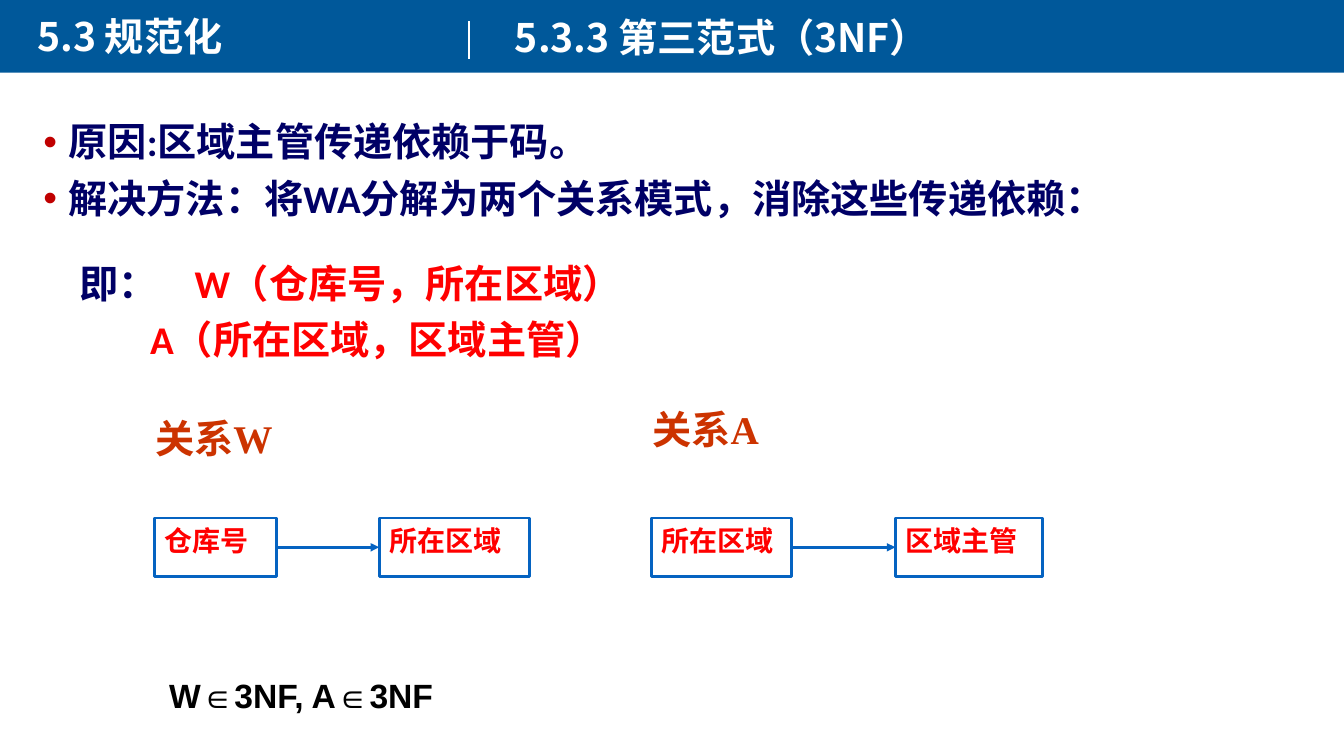
from dataclasses import dataclass

from lxml import etree
from pptx import Presentation, util as u
from pptx.dml.color import RGBColor
from pptx.enum import shapes, text
from pptx.oxml import ns

COLORS = {"bar": "00589A", "white": "FFFFFF", "navy": "000066", "red": "FF0000",
          "bullet": "C00000", "rust": "CC3300", "line": "0563C1", "black": "000000"}
CJK = "Noto Sans CJK SC"
WIDTH, HEIGHT = u.Inches(13.33), u.Inches(7.5)
BOX_TOP, BOX_HEIGHT = 68.53, 7.73


@dataclass
class Style:
    size: int
    font: str
    color: str
    east_asian: str = CJK


@dataclass
class Label:
    """A text box, placed in percent of the slide's width and height."""
    words: str
    x: float
    y: float
    w: float
    h: float
    style: Style
    align: text.PP_ALIGN = text.PP_ALIGN.LEFT
    wrap: bool = True


@dataclass
class Box:
    words: str
    x: float
    w: float


@dataclass
class Line:
    """A body paragraph; indents and tab in inches."""
    runs: list
    left: float = 0.25
    first: float = -0.25
    bullet: bool = False
    tab: float = 0
    spacing: float = 0.9
    before: int = 10


TITLE = Style(28, CJK, "white")
BODY = Style(28, "Calibri", "navy")
BODY_RED = Style(28, "Calibri", "red")
CAPTION = Style(28, "Times New Roman", "rust")
NODE = Style(20, "Arial", "red")
RESULT = Style(24, "Arial", "black", "")

LABELS = [
    Label("5.3 规范化", 2.03, 0.93, 30, 7.6, TITLE),
    Label("5.3.3 第三范式（3NF）", 37.58, 1.07, 62.4, 7.6, TITLE),
    Label("关系W", 10.8, 54.13, 12.53, 6.13, CAPTION, text.PP_ALIGN.JUSTIFY),
    Label("关系A", 47.79, 52.93, 13.95, 8.67, CAPTION, text.PP_ALIGN.JUSTIFY),
    Label("W∈3NF, A∈3NF", 11.85, 88.67, 21.38, 6.8, RESULT, wrap=False),
]
BODY_LINES = [
    Line([("原因:区域主管传递依赖于码。", BODY)], bullet=True, before=0),
    Line([("解决方法：将WA分解为两个关系模式，消除这些传递依赖：", BODY)], bullet=True),
    Line([("即：\t", BODY), ("W（仓库号，所在区域）", BODY_RED)],
         left=0, first=0.36, tab=1.32, spacing=1.5),
    Line([("A（所在区域，区域主管）", BODY_RED)], left=1.06, first=0),
]
DEPENDENCIES = [
    (Box("仓库号", 11.48, 9.08), Box("所在区域", 28.21, 11.18)),
    (Box("所在区域", 48.46, 10.43), Box("区域主管", 66.62, 10.95)),
]


def across(share: float) -> int:
    return round(WIDTH * share / 100)


def down(share: float) -> int:
    return round(HEIGHT * share / 100)


def area(x: float, y: float, w: float, h: float) -> tuple:
    return across(x), down(y), across(w), down(h)


def rgb(name: str) -> RGBColor:
    return RGBColor.from_string(COLORS[name])


def add_child(parent, tag: str, **attributes: str):
    return etree.SubElement(parent, ns.qn(tag), attributes)


def add_run(p, words: str, style: Style) -> None:
    r = p.add_run()
    r.text = words
    for name, value in {"size": u.Pt(style.size), "name": style.font, "bold": True}.items():
        setattr(r.font, name, value)
    r.font.color.rgb = rgb(style.color)
    if style.east_asian:
        add_child(r._r.get_or_add_rPr(), "a:ea", typeface=style.east_asian)


def add_label(s, label: Label) -> None:
    tf = s.shapes.add_textbox(*area(label.x, label.y, label.w, label.h)).text_frame
    tf.word_wrap = label.wrap
    p = tf.paragraphs[0]
    p.alignment = label.align
    add_run(p, label.words, label.style)


def add_body(s, lines: list[Line]) -> None:
    tf = s.shapes.add_textbox(*area(2.48, 15.6, 82.15, 40)).text_frame
    tf.word_wrap = True
    for i, line in enumerate(lines):
        p = tf.add_paragraph() if i else tf.paragraphs[0]
        props = p._p.get_or_add_pPr()
        props.set("marL", str(u.Inches(line.left)))
        props.set("indent", str(u.Inches(line.first)))
        if line.bullet:
            add_child(add_child(props, "a:buClr"), "a:srgbClr", val=COLORS["bullet"])
            add_child(props, "a:buFont", typeface="Arial")
            add_child(props, "a:buChar", char="•")
        else:
            add_child(props, "a:buNone")
        if line.tab:
            add_child(add_child(props, "a:tabLst"), "a:tab",
                      pos=str(u.Inches(line.tab)), algn="l")
        p.line_spacing = line.spacing
        p.space_before = u.Pt(line.before)
        for words, style in line.runs:
            add_run(p, words, style)


def add_rect(s, x: float, y: float, w: float, h: float):
    sp = s.shapes.add_shape(shapes.MSO_SHAPE.RECTANGLE, *area(x, y, w, h))
    sp.shadow.inherit = False
    return sp


def add_box(s, box: Box):
    sp = add_rect(s, box.x, BOX_TOP, box.w, BOX_HEIGHT)
    sp.fill.background()
    sp.line.color.rgb = rgb("line")
    sp.line.width = u.Pt(2)
    tf = sp.text_frame
    tf.word_wrap = True
    tf.vertical_anchor = text.MSO_ANCHOR.TOP
    p = tf.paragraphs[0]
    p.alignment = text.PP_ALIGN.JUSTIFY
    add_run(p, box.words, NODE)
    return sp


def add_line(s, x1: float, y1: float, x2: float, y2: float, color: str, width: float):
    line = s.shapes.add_connector(shapes.MSO_CONNECTOR.STRAIGHT,
                                  across(x1), down(y1), across(x2), down(y2))
    line.line.color.rgb = rgb(color)
    line.line.width = u.Pt(width)
    add_child(line._element.spPr, "a:effectLst")
    return line


def add_dependency(s, source: Box, target: Box) -> None:
    start, end = add_box(s, source), add_box(s, target)
    middle = BOX_TOP + BOX_HEIGHT / 2
    arrow = add_line(s, source.x + source.w, middle, target.x, middle, "line", 2)
    arrow.begin_connect(start, 3)
    arrow.end_connect(end, 1)
    add_child(arrow.line._get_or_add_ln(), "a:tailEnd", type="triangle")


def main() -> None:
    prs = Presentation()
    prs.slide_width, prs.slide_height = WIDTH, HEIGHT
    s = prs.slides.add_slide(prs.slide_layouts[6])

    # Header bar and divider
    bar = add_rect(s, 0, 0, 100, 9.6)
    bar.fill.solid()
    bar.fill.fore_color.rgb = rgb("bar")
    bar.line.fill.background()
    add_line(s, 34.88, 2.8, 34.88, 7.87, "white", 1.5)

    # Titles, captions and result
    for label in LABELS:
        add_label(s, label)

    # Explanation
    add_body(s, BODY_LINES)

    # Dependency diagrams
    for source, target in DEPENDENCIES:
        add_dependency(s, source, target)

    prs.save("out.pptx")


if __name__ == "__main__":
    main()
